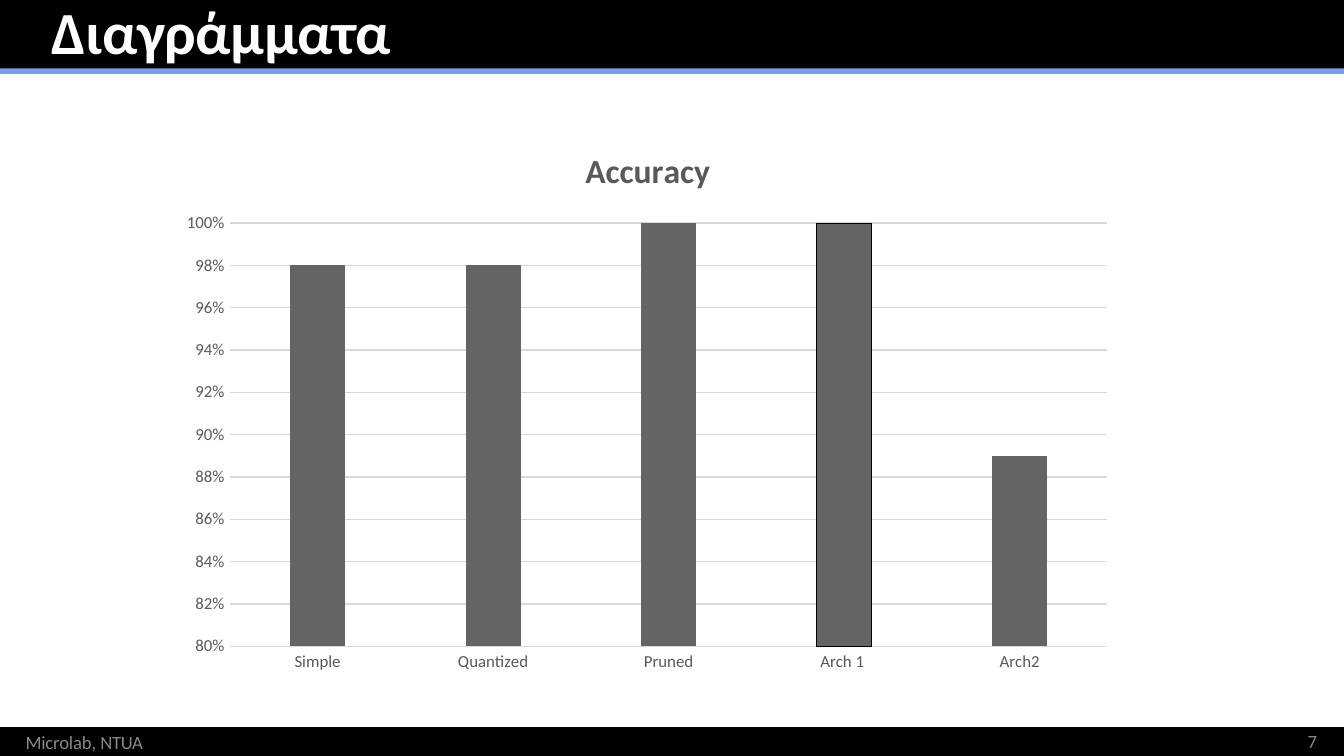
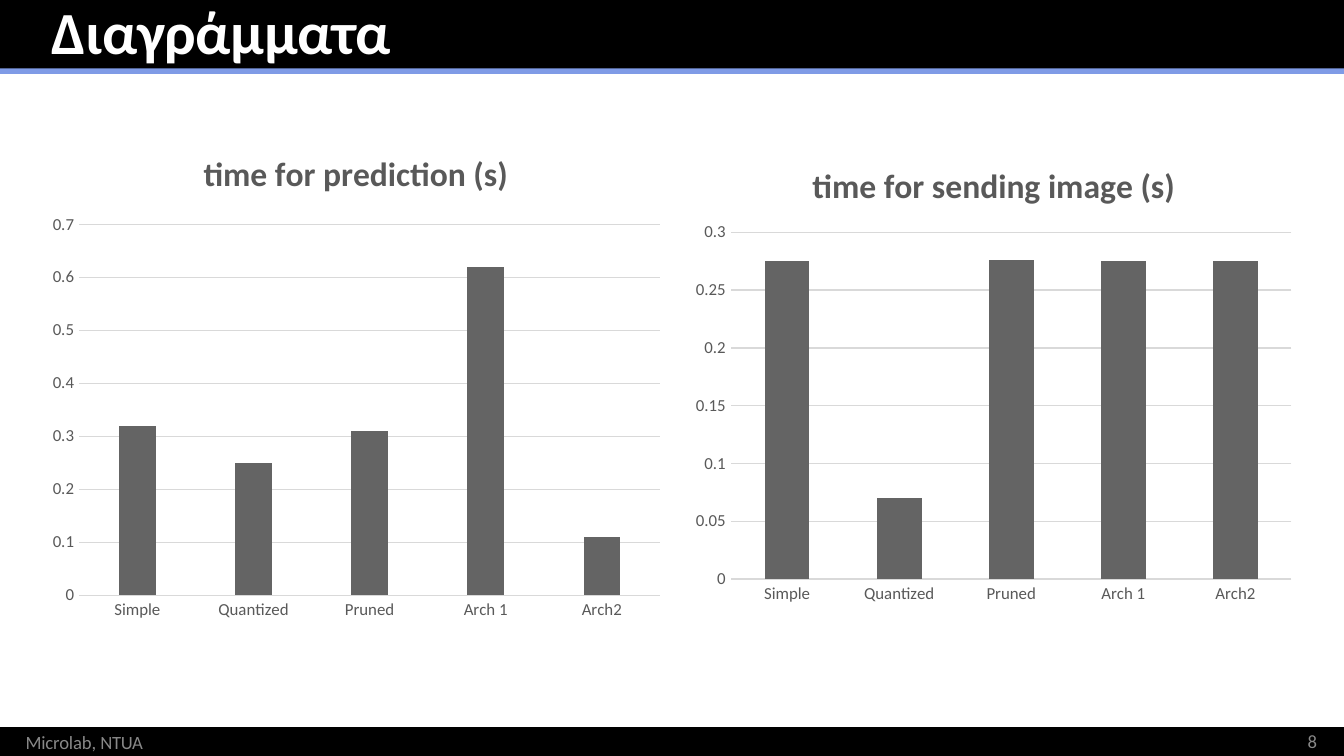
from lxml.etree import SubElement
from pptx import Presentation
from pptx.chart.data import CategoryChartData
from pptx.dml.color import RGBColor
from pptx.enum.chart import XL_CHART_TYPE, XL_TICK_MARK
from pptx.enum.shapes import MSO_SHAPE
from pptx.enum.text import MSO_ANCHOR, MSO_AUTO_SIZE, PP_ALIGN
from pptx.oxml.ns import qn
from pptx.util import Pt

EMU_PER_PX = 9144  # 100 px to the inch
WIDTH = 1000
TITLE_ONLY = 5
MODELS = ["Simple", "Quantized", "Pruned", "Arch 1", "Arch2"]


def px(*lengths):
    return [length * EMU_PER_PX for length in lengths]


def color(hex_string):
    return RGBColor.from_string(hex_string)


def write(para, text, size=10, ink="888888", bold=False, spacing=0):
    """Add a run; spacing is in hundredths of a point."""
    span = para.add_run()
    span.text = text
    font = span.font
    font.name, font.size, font.bold = Deck.FONT, Pt(size), bold
    font.color.rgb = color(ink)
    if spacing:
        span._r.get_or_add_rPr().set("spc", str(spacing))


def place(parent, index, **fractions):
    """Give a chart part a manual layout, in fractions of the chart."""
    for automatic in parent.findall(qn("c:layout")):
        parent.remove(automatic)
    layout = SubElement(parent, qn("c:layout"))
    parent.insert(index, layout)
    manual = SubElement(layout, qn("c:manualLayout"))
    if "w" in fractions:
        SubElement(manual, qn("c:layoutTarget")).set("val", "inner")
    for side in "xy":
        SubElement(manual, qn(f"c:{side}Mode")).set("val", "edge")
    for name, value in fractions.items():
        SubElement(manual, qn(f"c:{name}")).set("val", f"{value:.4f}")


class Deck:
    FONT = "Calibri"
    BLACK, ACCENT, WHITE = "000000", "7F9BE6", "FFFFFF"
    BAR, GRID, LABEL = "646464", "D9D9D9", "595959"

    def __init__(self):
        self.file = Presentation()
        self.file.slide_width = px(WIDTH)[0]
        self.file.slide_height = self.file.slide_width * 9 // 16
        self.page = None

    def add_page(self, title, number):
        layout = self.file.slide_layouts[TITLE_ONLY]
        self.page = self.file.slides.add_slide(layout)
        self.band(541, 22, self.BLACK)
        self.band(0, 52, self.BLACK)
        self.band(51, 4, self.ACCENT)
        self.title(title)
        self.footer((969, 545, 17, 17), 4, [(str(number), -50)])
        self.footer((18, 546, 92, 17), 1, [("Microlab, ", -5), ("NTUA", -15)])

    def band(self, top, height, fill):
        box = self.page.shapes.add_shape(
            MSO_SHAPE.RECTANGLE, *px(0, top, WIDTH, height))
        box.shadow.inherit = False
        box.fill.solid()
        box.fill.fore_color.rgb = color(fill)
        box.line.fill.background()

    def frame(self, box, inset_top=0, indent=1):
        """Set up the text frame of a box and return its first paragraph."""
        frame = box.text_frame
        frame.word_wrap = True
        frame.auto_size = MSO_AUTO_SIZE.SHAPE_TO_FIT_TEXT
        frame.vertical_anchor = MSO_ANCHOR.TOP
        frame.margin_left = frame.margin_right = frame.margin_bottom = 0
        frame.margin_top = px(inset_top)[0]
        para = frame.paragraphs[0]
        para.alignment = PP_ALIGN.LEFT
        para._p.get_or_add_pPr().set("marL", str(px(indent)[0]))
        return para

    def title(self, text):
        box = self.page.shapes.title
        box.left, box.top, box.width, box.height = px(37, -5, 559, 56)
        self.page.shapes.element.append(box.element)  # in front of the bands
        para = self.frame(box, inset_top=1)
        para.space_before = Pt(1)
        write(para, text, size=32, ink=self.WHITE, bold=True, spacing=-10)

    def footer(self, area, indent, spans):
        para = self.frame(self.page.shapes.add_textbox(*px(*area)),
                          indent=indent)
        para.line_spacing = Pt(10.5)
        for text, spacing in spans:
            write(para, text, spacing=spacing)

    def chart(self, title, values, area, plot_area, title_at,
              kind=XL_CHART_TYPE.COLUMN_CLUSTERED, gap=219, overlap=-27,
              models=MODELS):
        data = CategoryChartData()
        data.categories = models
        data.add_series("Series 1", values)
        chart = self.page.shapes.add_chart(kind, *px(*area), data).chart
        chart.has_legend = False
        chart.font.name, chart.font.size = self.FONT, Pt(10)
        chart.font.color.rgb = color(self.BLACK)

        chart.has_title = True
        write(chart.chart_title.text_frame.paragraphs[0], title,
              size=18, ink=self.LABEL, bold=True)
        left, top, width, height = area
        x, y = title_at
        place(chart.chart_title.element, 1,
              x=(x - left) / width, y=(y - top) / height)
        x, y, w, h = plot_area
        place(chart.element.find(".//" + qn("c:plotArea")), 0,
              x=(x - left) / width, y=(y - top) / height,
              w=w / width, h=h / height)

        plot = chart.plots[0]
        plot.vary_by_categories = False
        plot.gap_width, plot.overlap = gap, overlap
        bars = plot.series[0].format
        bars.fill.solid()
        bars.fill.fore_color.rgb = color(self.BAR)
        self.style_axes(chart)
        return chart

    def style_axes(self, chart):
        for axis in (chart.category_axis, chart.value_axis):
            axis.major_tick_mark = axis.minor_tick_mark = XL_TICK_MARK.NONE
            font = axis.tick_labels.font
            font.name, font.size = self.FONT, Pt(9)
            font.color.rgb = color(self.LABEL)
        chart.value_axis.has_major_gridlines = True
        chart.value_axis.format.line.fill.background()
        for part in (chart.category_axis, chart.value_axis.major_gridlines):
            part.format.line.color.rgb = color(self.GRID)
            part.format.line.width = Pt(0.75)


def accuracy_page(deck):
    deck.add_page("Διαγράμματα", 7)
    chart = deck.chart("Accuracy", [0.98, 0.98, 1, 1, 0.89],
                       area=(125, 92, 714, 417),
                       plot_area=(171, 166, 653, 315), title_at=(431, 105),
                       models=["Simple", "Quantized", "Pruned", "Arch 1 ",
                               "Arch2"])
    axis = chart.value_axis
    axis.minimum_scale, axis.maximum_scale, axis.major_unit = 0.8, 1, 0.02
    axis.tick_labels.number_format = "0%"
    axis.tick_labels.number_format_is_linked = False
    outlined = chart.plots[0].series[0].points[3].format
    outlined.fill.solid()
    outlined.fill.fore_color.rgb = color(deck.BAR)
    outlined.line.color.rgb = color(deck.BLACK)
    outlined.line.width = Pt(0.25)


def timing_page(deck):
    deck.add_page("Διαγράμματα", 8)
    deck.chart("time for prediction (s)", [0.32, 0.25, 0.31, 0.62, 0.11],
               area=(29, 94, 471, 375),
               plot_area=(59, 167, 432, 276), title_at=(147, 107))
    deck.chart("time for sending image (s)",
               [0.275, 0.07, 0.276, 0.275, 0.275],
               area=(508, 106, 462, 350),
               plot_area=(544, 173, 417, 258), title_at=(600, 116),
               kind=XL_CHART_TYPE.COLUMN_STACKED, gap=150, overlap=100)


def main():
    deck = Deck()
    accuracy_page(deck)
    timing_page(deck)
    deck.file.save("out.pptx")


if __name__ == "__main__":
    main()
